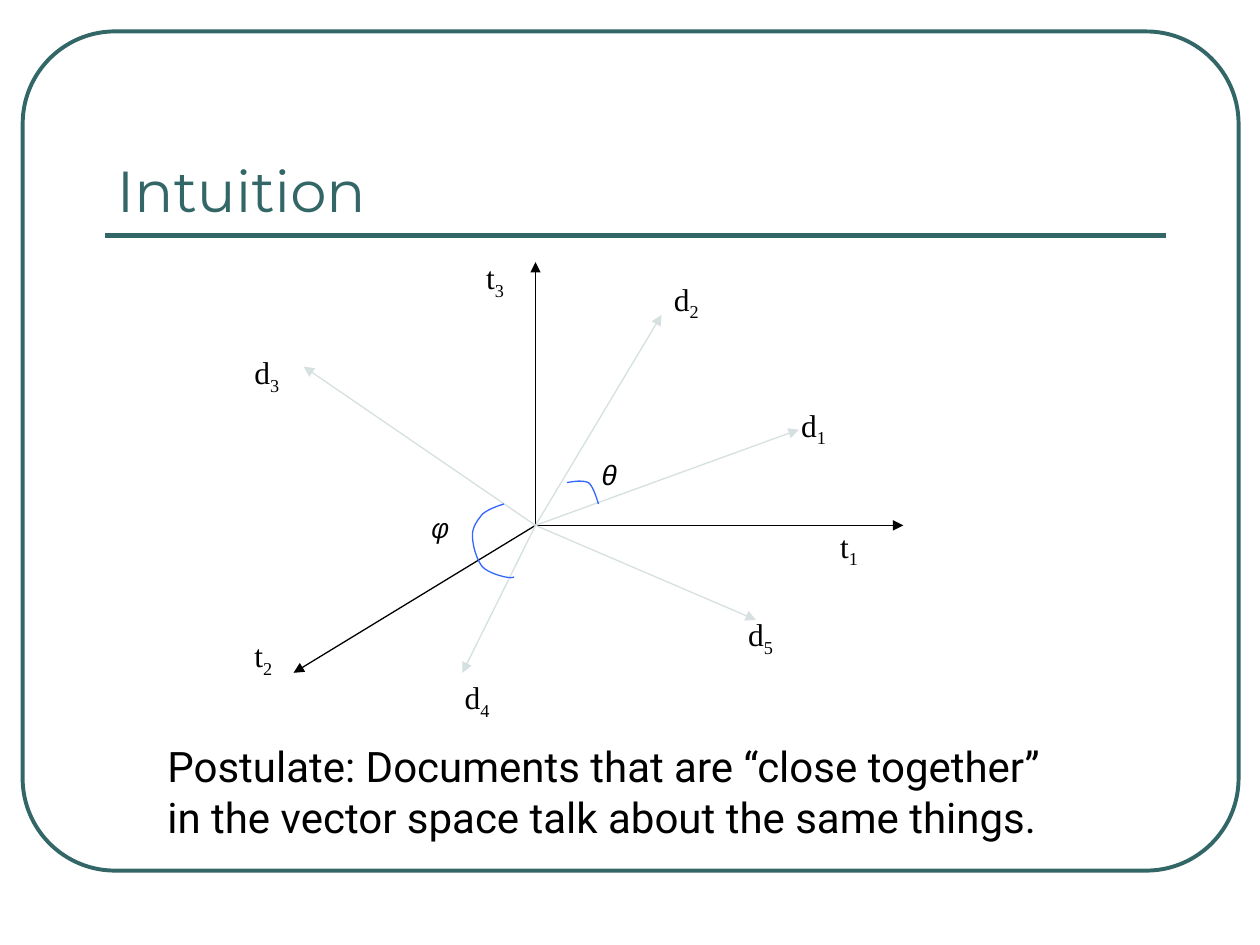
from lxml import etree
from pptx import Presentation
from pptx.dml.color import RGBColor
from pptx.enum.shapes import MSO_CONNECTOR, MSO_SHAPE
from pptx.enum.text import MSO_ANCHOR, MSO_AUTO_SIZE
from pptx.oxml.ns import qn
from pptx.util import Inches, Pt

TEAL, BLACK, PALE, BLUE = "336666", "000000", "D6E0E0", "3366FF"

AXES = [("t", "1", (2.92, 0), (2.32, -0.04)),
        ("t", "3", (0, -2.09), (-0.49, -2.17)),
        ("t", "2", (-1.92, 1.17), (-2.33, 0.83))]
DOCUMENTS = [("d", "1", (2.09, -0.76), (2.01, -1)),
             ("d", "5", (1.75, 0.75), (1.59, 0.66)),
             ("d", "2", (1, -1.67), (1, -2)),
             ("d", "4", (-0.58, 1.17), (-0.66, 1.16)),
             ("d", "3", (-1.84, -1.26), (-2.33, -1.42))]
ANGLES = [("θ", (0.42, -0.59),
           [(0.25, -0.34), (0.31, -0.35), (0.37, -0.36), (0.42, -0.34),
            (0.46, -0.31), (0.49, -0.2), (0.5, -0.17)]),
          ("φ", (-0.92, -0.17),
           [(-0.25, -0.17), (-0.31, -0.15), (-0.37, -0.13), (-0.42, -0.09),
            (-0.46, -0.04), (-0.5, 0.01), (-0.5, 0.08), (-0.5, 0.15),
            (-0.47, 0.27), (-0.42, 0.33), (-0.36, 0.39), (-0.19, 0.43),
            (-0.17, 0.41)])]


def rgb(color):
    return RGBColor.from_string(color)


def add_line(s, start, end, color, width, arrow=False):
    line = s.shapes.add_connector(MSO_CONNECTOR.STRAIGHT,
                                  *[Inches(v) for v in (*start, *end)])
    line.line.color.rgb = rgb(color)
    line.line.width = Pt(width)
    if arrow:
        etree.SubElement(line.line._get_or_add_ln(), qn("a:tailEnd"), type="triangle")
    etree.SubElement(line._element.spPr, qn("a:effectLst"))


def add_text(s, box, lines, size, font, color=BLACK, italic=False, wrap=True,
             anchor=MSO_ANCHOR.TOP):
    tf = s.shapes.add_textbox(*[Inches(v) for v in box]).text_frame
    tf.word_wrap = wrap
    tf.auto_size = MSO_AUTO_SIZE.NONE
    tf.vertical_anchor = anchor
    for i, runs in enumerate(lines):
        p = tf.paragraphs[0] if i == 0 else tf.add_paragraph()
        for text, baseline in runs:
            r = p.add_run()
            r.text = text
            r.font.size = Pt(size)
            r.font.name = font
            r.font.color.rgb = rgb(color)
            if italic:
                r.font.italic = True
            if baseline:
                r.font._element.set("baseline", str(baseline))


def bezier_points(points, steps=10):
    curve = [points[0]]
    for i in range(0, len(points) - 1, 3):
        a, b, c, d = points[i:i + 4]
        for k in range(1, steps + 1):
            t = k / steps
            u = 1 - t
            curve.append(tuple(u**3 * a[j] + 3 * u * u * t * b[j]
                               + 3 * u * t * t * c[j] + t**3 * d[j] for j in (0, 1)))
    return curve


def add_arc(s, points):
    start, *rest = [(Inches(x), Inches(y)) for x, y in bezier_points(points)]
    builder = s.shapes.build_freeform(*start)
    builder.add_line_segments(rest, close=False)
    arc = builder.convert_to_shape()
    arc.shadow.inherit = False
    arc.fill.background()
    arc.line.color.rgb = rgb(BLUE)
    arc.line.width = Pt(0.75)


def add_frame(s, box):
    frame = s.shapes.add_shape(MSO_SHAPE.ROUNDED_RECTANGLE, *[Inches(v) for v in box])
    frame.adjustments[0] = 0.11
    frame.shadow.inherit = False
    frame.fill.background()
    frame.line.color.rgb = rgb(TEAL)
    frame.line.width = Pt(2.25)


def add_title(s, box, title):
    x, y, w, h = box
    rule_y = y + h + 0.04
    add_line(s, (x, rule_y), (x + w, rule_y), TEAL, 3)
    add_text(s, box, [[(title, 0)]], 33, "Montserrat", TEAL, anchor=MSO_ANCHOR.BOTTOM)


def add_postulate(s, box):
    add_text(s, box, [[("Postulate: Documents that are “close together”", 0)],
                      [("in the vector space talk about the same things.", 0)]],
             24, "Roboto", wrap=False)


def add_vector_space(s, box):
    origin = (box[0] + 2.33, box[1] + 2.17)

    def place(offset):
        return origin[0] + offset[0], origin[1] + offset[1]

    for vectors, color in ((AXES, BLACK), (DOCUMENTS, PALE)):
        for _, _, tip, _ in vectors:
            add_line(s, origin, place(tip), color, 0.75, arrow=True)
    for name, index, _, label in AXES + DOCUMENTS:
        width = 0.34 if name == "t" else 0.4
        add_text(s, (*place(label), width, 0.44), [[(name, 0), (index, -25000)]],
                 18, "Times New Roman", wrap=False)
    for name, label, points in ANGLES:
        add_arc(s, [place(point) for point in points])
        add_text(s, (*place(label), 0.3, 0.37), [[(name, 0)]], 16, "Courier New",
                 italic=True)


def main():
    prs = Presentation()
    prs.slide_width, prs.slide_height = Inches(10), Inches(7.5)
    s = prs.slides.add_slide(prs.slide_layouts[6])
    add_frame(s, (0.18, 0.25, 9.65, 6.66))
    add_title(s, (0.83, 0.58, 8.42, 1.25), "Intuition")
    add_postulate(s, (1.23, 5.83, 7.62, 0.91))
    add_vector_space(s, (1.92, 2, 5.25, 3.77))
    prs.save("out.pptx")


if __name__ == "__main__":
    main()
